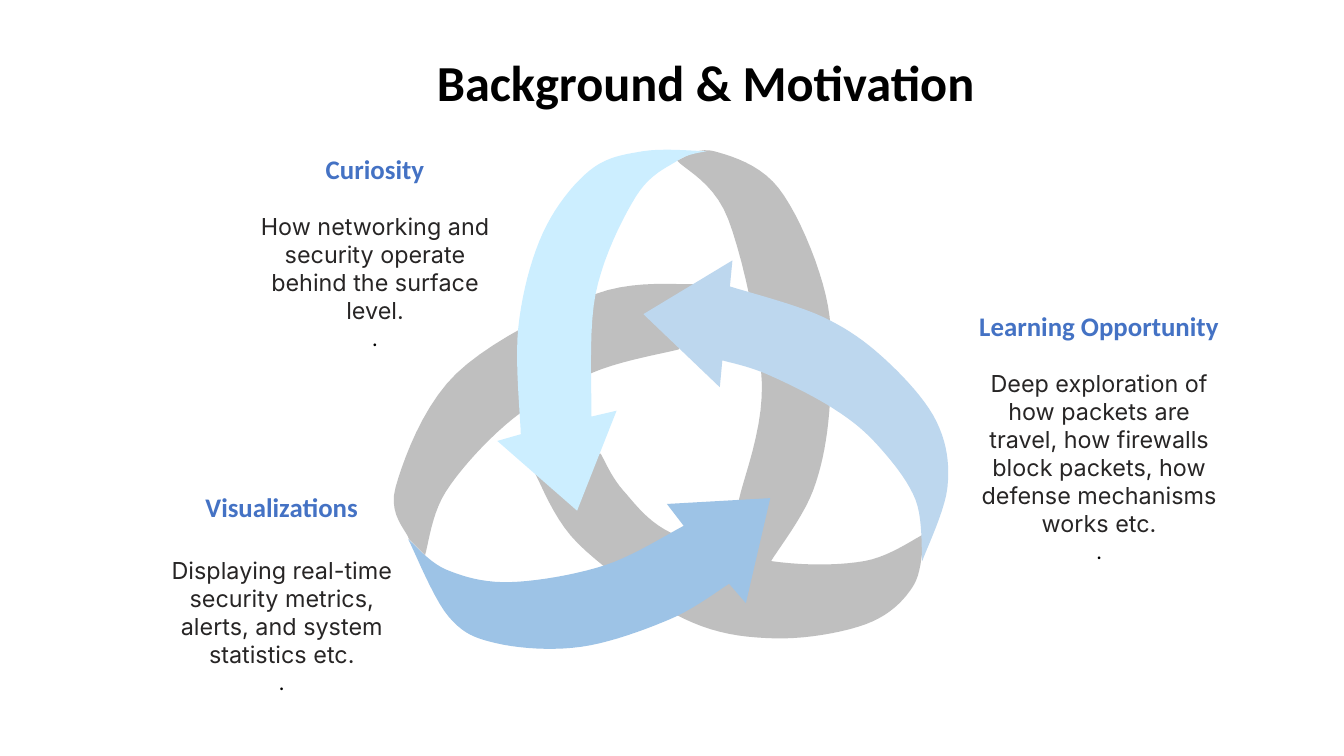
from pptx import Presentation
from pptx.dml.color import RGBColor
from pptx.enum.text import MSO_ANCHOR, MSO_AUTO_SIZE, PP_ALIGN
from pptx.util import Inches, Pt

COLORS = {
    "title": "000000", "head": "4472C4", "body": "272525", "dot": "000000",
    "grey": "BFBFBF", "ice": "CCEEFF", "blue": "9DC3E6", "pale": "BDD7EE",
}
TITLE = "Background & Motivation"

# Left, top, width, height, gap under heading, heading, body
NOTES = [
    (3.01, 1.76, 2.91, 2.48, 23.4, "Curiosity",
     "How networking and security operate behind the surface level."),
    (11.63, 3.63, 2.91, 3.15, 23.4, "Learning Opportunity",
     "Deep exploration of how packets are travel, how firewalls block packets, "
     "how defense mechanisms works etc."),
    (1.9, 5.79, 2.91, 2.54, 28, "Visualizations",
     "Displaying real-time security metrics, alerts, and system statistics etc."),
]

# Color, smooth outer side, arrowhead corners, smooth inner side (inches)
BANDS = [
    ("grey",
     [(8.06, 1.91), (8.5, 1.8), (9.27, 2.24), (9.83, 3.51), (9.88, 4.8),
      (9.68, 5.84), (9.18, 6.68)],
     [(8.9, 6.9)],
     [(8.8, 5.94), (9.07, 4.55), (8.67, 2.61), (8.06, 1.91)]),
    ("grey",
     [(6.35, 5.6), (6.88, 6.47), (8.13, 7.36), (9.21, 7.6), (10.31, 7.43),
      (10.87, 6.98), (11, 6.36)],
     [],
     [(11, 6.36), (10.29, 6.68), (9.18, 6.68), (8, 6.35), (7.42, 5.84), (7.15, 5.4)]),
    ("grey",
     [(4.87, 6.42), (4.71, 5.8), (5.43, 4.45), (7.09, 3.5), (8.3, 3.38)],
     [],
     [(8.08, 4.16), (7.07, 4.43), (6.1, 4.99), (5.31, 5.85), (5.06, 6.61)]),
    ("ice",
     [(8.41, 1.8), (7.66, 1.8), (7.02, 2.03), (6.46, 2.78), (6.17, 3.9), (6.2, 5.17)],
     [(5.92, 5.25), (6.87, 6.08), (7.34, 4.89)],
     [(7.04, 4.96), (7.09, 3.5), (7.57, 2.34), (8.07, 1.91), (8.41, 1.8)]),
    ("blue",
     [(4.86, 6.42), (5.34, 7.34), (5.92, 7.66), (6.92, 7.7), (7.98, 7.37), (8.68, 6.95)],
     [(8.88, 7.18), (9.17, 5.93), (7.94, 6)],
     [(8.14, 6.26), (7.2, 6.73), (6.07, 6.93), (5.31, 6.78), (4.86, 6.42)]),
    ("pale",
     [(10.98, 6.68), (11.28, 5.8), (11.15, 5.02), (10.54, 4.28), (9.79, 3.77),
      (8.69, 3.41)],
     [(8.72, 3.1), (7.66, 3.74), (8.57, 4.61)],
     [(8.6, 4.29), (9.12, 4.45), (9.9, 4.85), (10.44, 5.29), (10.9, 5.95),
      (10.98, 6.68)]),
]
STEPS = 10


def color(name):
    return RGBColor.from_string(COLORS[name])


def smooth(side):
    """Run a Catmull-Rom curve through the points of a side."""
    knots = [side[0], *side, side[-1]]
    points = [side[0]]
    for a, b, c, d in zip(knots, knots[1:], knots[2:], knots[3:]):
        for step in range(1, STEPS + 1):
            t = step / STEPS
            points.append(tuple(
                q + t * (r - p + t * (2 * p - 5 * q + 4 * r - s
                                      + t * (3 * q - p - 3 * r + s))) / 2
                for p, q, r, s in zip(a, b, c, d)))
    return points


def style(para, size, face, tone, bold=False):
    font = para.font
    font.size, font.name, font.bold = Pt(size), face, bold
    font.color.rgb = color(tone)


deck = Presentation()
deck.slide_width, deck.slide_height = Inches(16), Inches(9)
slide = deck.slides.add_slide(deck.slide_layouts[5])

# Title
title = slide.shapes.title
title.left, title.top, title.width, title.height = map(Inches, (1.1, 0.44, 13.8, 0.88))
frame = title.text_frame
frame.text = TITLE
frame.auto_size = MSO_AUTO_SIZE.NONE
frame.vertical_anchor = MSO_ANCHOR.TOP
frame.margin_left, frame.margin_top = Inches(4.1), Inches(0.08)
para = frame.paragraphs[0]
para.alignment, para.line_spacing = PP_ALIGN.LEFT, Pt(58.5)
style(para, 43.2, "Calibri", "title", True)

# Woven arrows
for tone, outer, tip, inner in BANDS:
    points = [(Inches(x), Inches(y)) for x, y in smooth(outer) + tip + smooth(inner)]
    pen = slide.shapes.build_freeform(*points[0], scale=1.0)
    pen.add_line_segments(points[1:], close=True)
    band = pen.convert_to_shape()
    band.shadow.inherit = False
    band.fill.solid()
    band.fill.fore_color.rgb = color(tone)
    band.line.fill.background()

# Notes beside the arrows
for left, top, width, height, gap, head, body in NOTES:
    box = slide.shapes.add_textbox(*map(Inches, (left, top, width, height)))
    frame = box.text_frame
    frame.word_wrap = True
    frame.vertical_anchor = MSO_ANCHOR.MIDDLE
    frame.margin_left = frame.margin_right = 0
    rows = [(head, 23, "Calibri", "head", True), (body, 20, "Inter", "body"),
            (".", 19.2, "Calibri", "dot")]
    for i, (text, *look) in enumerate(rows):
        para = frame.paragraphs[0] if i == 0 else frame.add_paragraph()
        para.text = text
        para.alignment = PP_ALIGN.CENTER
        style(para, *look)
    frame.paragraphs[1].space_before = Pt(gap)

deck.save("out.pptx")
